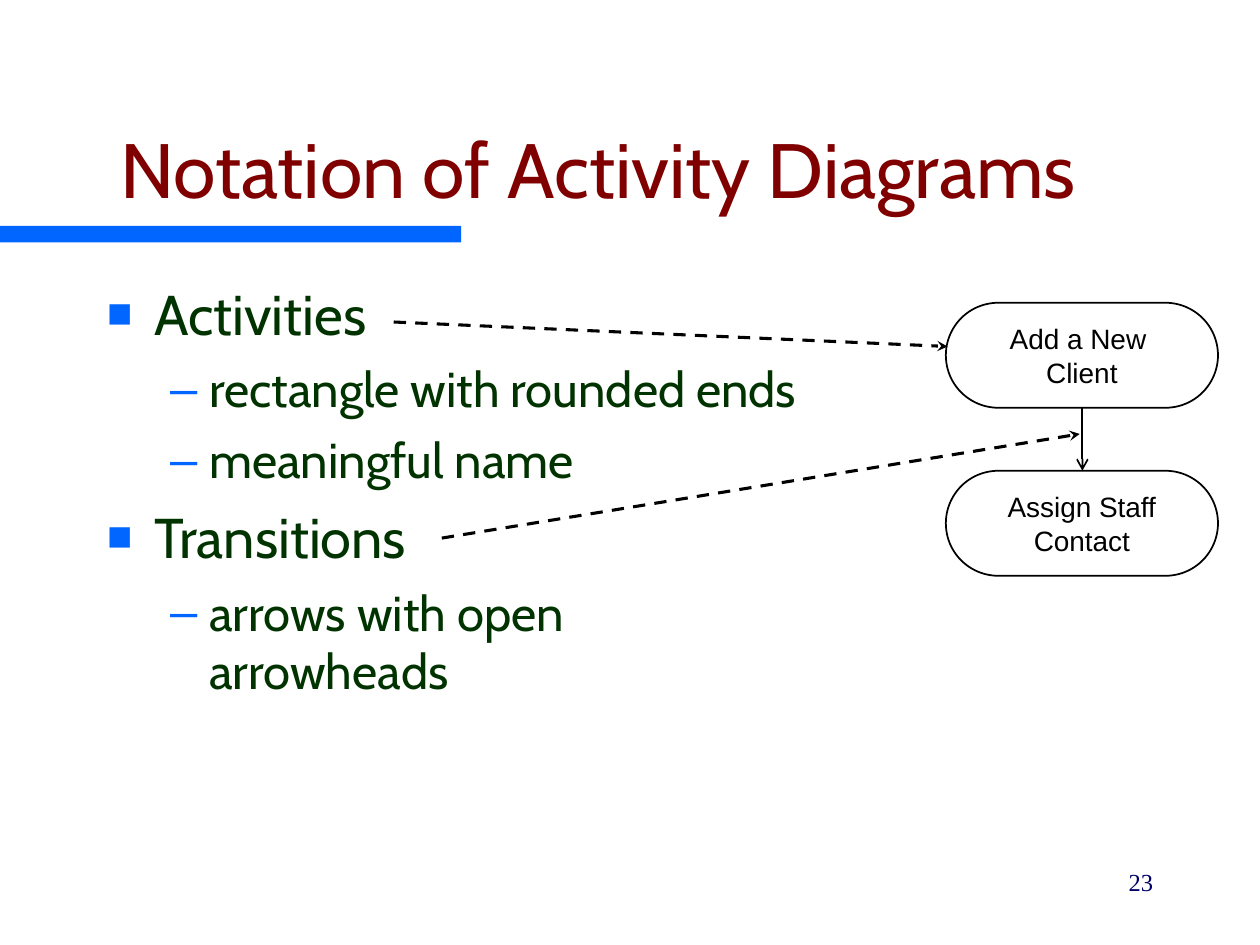
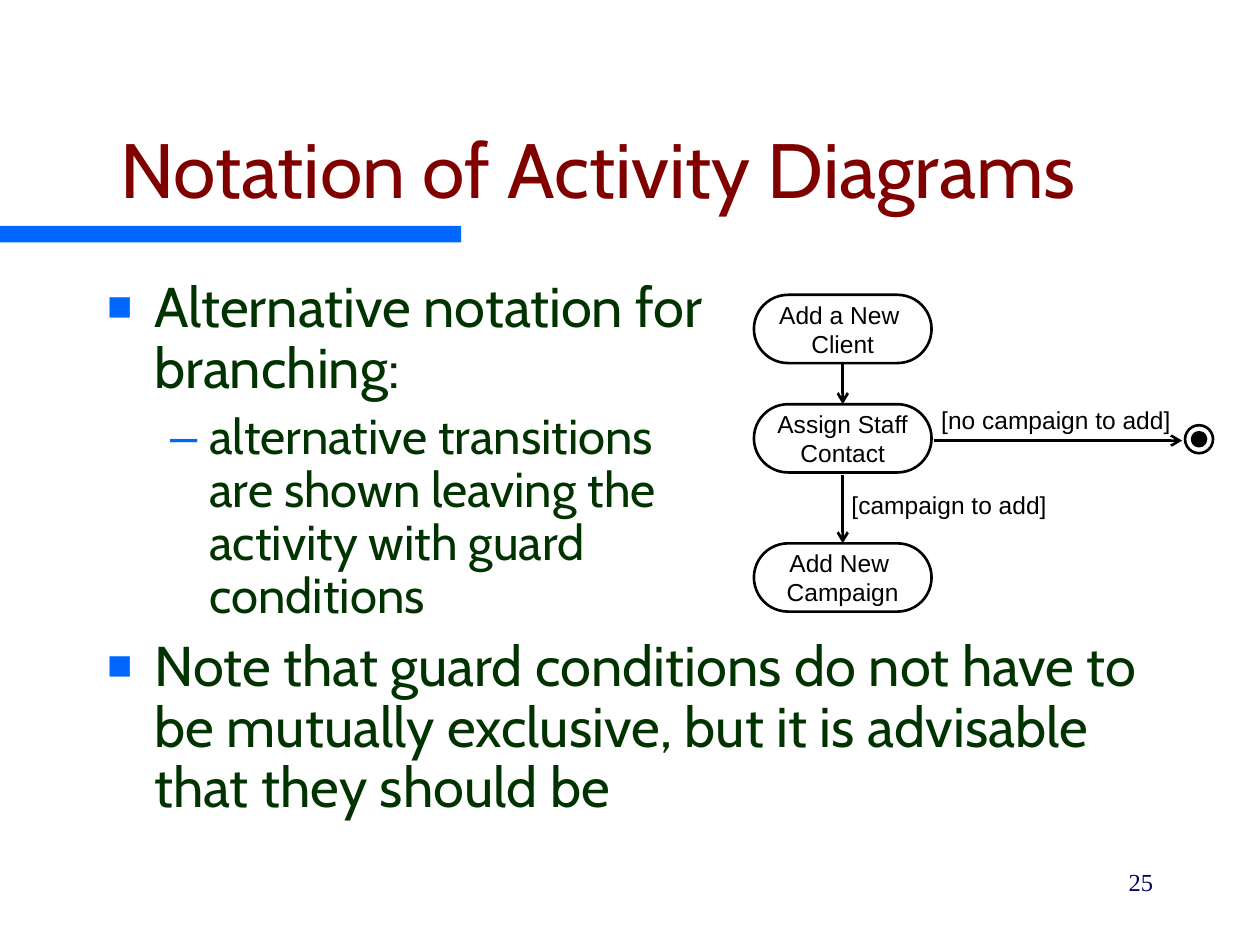
from lxml import etree
from pptx import Presentation
from pptx.dml.color import RGBColor
from pptx.enum.dml import MSO_LINE
from pptx.enum.shapes import MSO_CONNECTOR, MSO_SHAPE
from pptx.enum.text import MSO_ANCHOR, MSO_AUTO_SIZE, PP_ALIGN
from pptx.oxml.ns import qn
from pptx.util import Pt

CENTER, RIGHT = PP_ALIGN.CENTER, PP_ALIGN.RIGHT
STRAIGHT, DASH = MSO_CONNECTOR.STRAIGHT, MSO_LINE.DASH
RECT, ROUND, OVAL = MSO_SHAPE.RECTANGLE, MSO_SHAPE.ROUNDED_RECTANGLE, MSO_SHAPE.OVAL
BLUE, MAROON, GREEN, NAVY = "0066FF", "800000", "003300", "000066"
BLACK, WHITE = "000000", "FFFFFF"
HEADING = "Notation of Activity Diagrams"

# List levels: size, left margin, hanging indent, space before, bullet, bullet size
LEVELS = [(32, 27, -27, 8, "■", "75000"), (28, 58.5, -22.5, 7, "–", "100000")]

# Boxes, arrows and labels in points; arrows are x1, y1, x2, y2, width, head, dashed
SLIDES = [
    dict(
        number="23", line_spacing=1.0,
        items=[(0, "Activities"), (1, "rectangle with rounded ends"),
               (1, "meaningful name"), (0, "Transitions"),
               (1, "arrows with open\narrowheads")],
        labels=[],
        box=(540.5, 155.5, 60), line=1, size=16,
        activities=[("Add a New \nClient", 173), ("Assign Staff\nContact", 269)],
        arrows=[(618.5, 233, 618.5, 269, 1, "arrow", False),
                (225, 184, 541.5, 198, 1.75, "stealth", True),
                (252.5, 307.5, 617, 248, 1.75, "stealth", True)],
        final=[],
    ),
    dict(
        number="25", line_spacing=0.9,
        items=[(0, "Alternative notation for \nbranching:"),
               (1, "alternative transitions \nare shown leaving the\n"
                   "activity with guard\nconditions"),
               (0, "Note that guard conditions do not have to be mutually "
                   "exclusive, but it is advisable that they should be")],
        labels=[("[campaign to add]", 479.5, 276.5, 149),
                ("[no campaign to add]", 530.8, 227.8, 165.5)],
        box=(430.8, 101.5, 39), line=1.5, size=14,
        activities=[("Add a New \nClient", 168.5), ("Assign Staff\nContact", 231),
                    ("Add New \nCampaign", 310.5)],
        arrows=[(481.6, 207.5, 481.6, 231, 1.5, "arrow", False),
                (481.6, 271.5, 481.6, 310.5, 1.5, "arrow", False),
                (533.5, 251.8, 675.5, 251.8, 1.5, "arrow", False)],
        final=[(16, WHITE), (8, BLACK)],  # diameters around one centre
    ),
]
FINAL_X, FINAL_Y = 685.2, 251


def rgb(hex_color):
    return RGBColor.from_string(hex_color)


def write(p, text, size, font, color):
    for i, line in enumerate(text.split("\n")):
        if i:
            p.add_line_break()
        r = p.add_run()
        r.text = line
        r.font.size, r.font.name = Pt(size), font
        r.font.color.rgb = rgb(color)


prs = Presentation()
prs.slide_width, prs.slide_height = Pt(720), Pt(540)

for spec_ in SLIDES:
    s = prs.slides.add_slide(prs.slide_layouts[1])

    # Blue band under the title
    sp = s.shapes.add_shape(RECT, 0, Pt(129), Pt(263.5), Pt(9.5))
    sp.shadow.inherit = False
    sp.fill.solid()
    sp.fill.fore_color.rgb = rgb(BLUE)
    sp.line.fill.background()

    # Title
    title, body = s.shapes.title, s.placeholders[1]
    title.left, title.top, title.width, title.height = Pt(18), Pt(36), Pt(648), Pt(90)
    tf = title.text_frame
    tf.auto_size, tf.vertical_anchor = MSO_AUTO_SIZE.NONE, MSO_ANCHOR.BOTTOM
    tf.paragraphs[0].alignment = CENTER
    write(tf.paragraphs[0], HEADING, 44, "Cabin", MAROON)

    # Bulleted list
    body.left, body.top, body.width, body.height = Pt(54), Pt(156), Pt(612), Pt(324)
    tf = body.text_frame
    tf.auto_size = MSO_AUTO_SIZE.NONE
    for i, (level, text) in enumerate(spec_["items"]):
        size, margin, indent, before, bullet, bullet_size = LEVELS[level]
        p = tf.add_paragraph() if i else tf.paragraphs[0]
        p.level = level
        p.space_before, p.line_spacing = Pt(before), spec_["line_spacing"]
        pPr = p._p.get_or_add_pPr()
        pPr.set("marL", str(Pt(margin)))
        pPr.set("indent", str(Pt(indent)))
        color = etree.SubElement(pPr, qn("a:buClr"))
        etree.SubElement(color, qn("a:srgbClr"), val=BLUE)
        etree.SubElement(pPr, qn("a:buSzPct"), val=bullet_size)
        etree.SubElement(pPr, qn("a:buFont"), typeface="Arial")
        etree.SubElement(pPr, qn("a:buChar"), char=bullet)
        write(p, text, size, "Cabin", GREEN)

    # Guard conditions
    for text, x, y, w in spec_["labels"]:
        tf = s.shapes.add_textbox(Pt(x), Pt(y), Pt(w), Pt(24.5)).text_frame
        tf.word_wrap = True
        write(tf.paragraphs[0], text, 14, "Arial", BLACK)

    # Activities
    x, w, h = spec_["box"]
    for text, y in spec_["activities"]:
        sp = s.shapes.add_shape(ROUND, Pt(x), Pt(y), Pt(w), Pt(h))
        sp.adjustments[0] = 0.5
        sp.shadow.inherit = False
        sp.fill.solid()
        sp.fill.fore_color.rgb = rgb(WHITE)
        sp.line.color.rgb, sp.line.width = rgb(BLACK), Pt(spec_["line"])
        tf = sp.text_frame
        tf.word_wrap, tf.vertical_anchor = False, MSO_ANCHOR.MIDDLE
        tf.paragraphs[0].alignment = CENTER
        write(tf.paragraphs[0], text, spec_["size"], "Arial", BLACK)

    # Transitions and pointers
    for x1, y1, x2, y2, width, head, dashed in spec_["arrows"]:
        line = s.shapes.add_connector(STRAIGHT, Pt(x1), Pt(y1), Pt(x2), Pt(y2))
        line.line.color.rgb, line.line.width = rgb(BLACK), Pt(width)
        if dashed:
            line.line.dash_style = DASH
        etree.SubElement(line.line._get_or_add_ln(), qn("a:tailEnd"), type=head)
        etree.SubElement(line._element.spPr, qn("a:effectLst"))

    # Final state
    for d, color in spec_["final"]:
        sp = s.shapes.add_shape(OVAL, Pt(FINAL_X - d / 2), Pt(FINAL_Y - d / 2), Pt(d), Pt(d))
        sp.shadow.inherit = False
        sp.fill.solid()
        sp.fill.fore_color.rgb = rgb(color)
        sp.line.color.rgb, sp.line.width = rgb(BLACK), Pt(1.5)

    # Slide number
    tf = s.shapes.add_textbox(Pt(516), Pt(492), Pt(150), Pt(36)).text_frame
    tf.word_wrap = True
    p = tf.paragraphs[0]
    p.alignment, p.space_before = RIGHT, Pt(8.8)
    write(p, spec_["number"], 14, "Times New Roman", NAVY)

prs.save("out.pptx")
